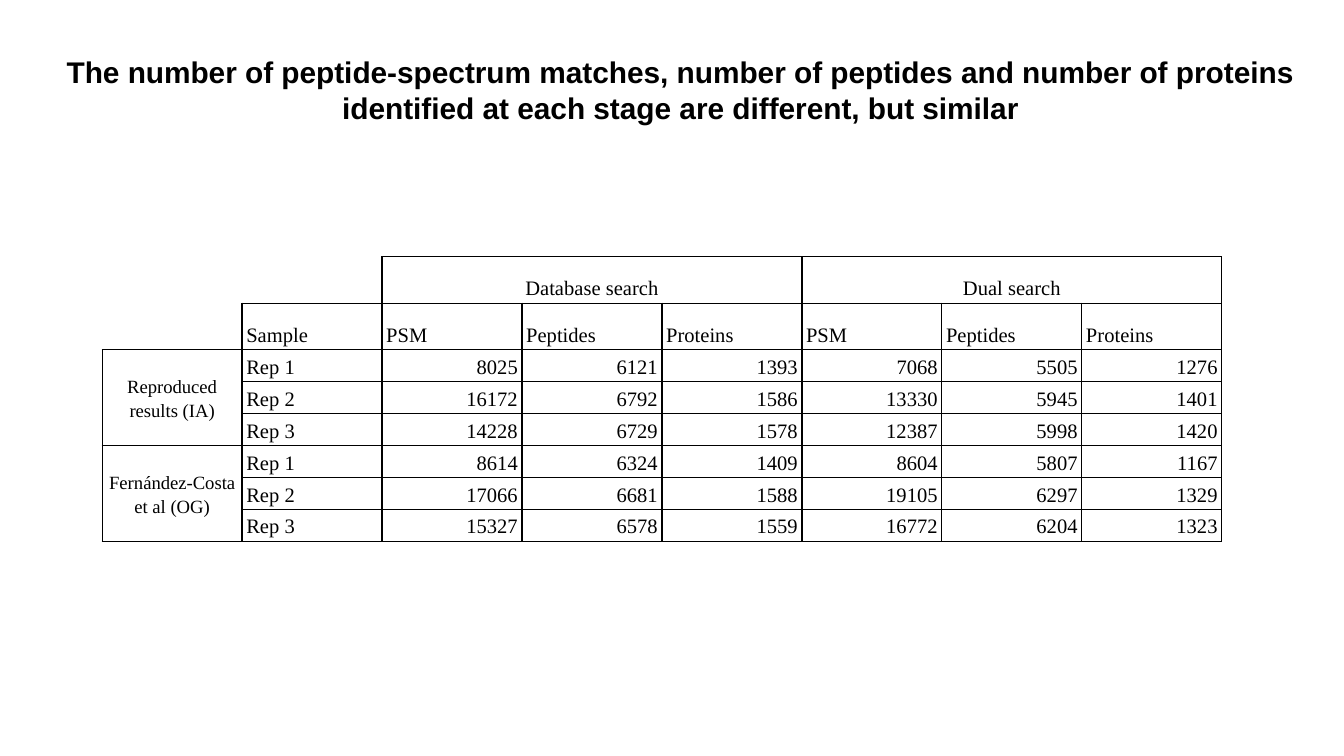
from dataclasses import dataclass

from lxml import etree
from pptx import Presentation
from pptx.dml import color
from pptx.enum import text
from pptx.oxml import ns
from pptx.util import Pt


@dataclass(frozen=True)
class Theme:
    """Colours, fonts and sizes of the slide."""
    ink: color.RGBColor = color.RGBColor(0, 0, 0)
    title_font: str = "Arial"
    table_font: str = "Times New Roman"
    title_size: int = 16
    cell_size: int = 11
    group_size: int = 10
    border: float = 0.75


THEME = Theme()
ALIGN = text.PP_ALIGN
ANCHOR = text.MSO_ANCHOR
NO_STYLE = "{2D5ABB26-0587-4C30-8999-92F81FD0307C}"
TITLE = ("The number of peptide-spectrum matches, number of peptides and number "
         "of proteins identified at each stage are different, but similar")
SEARCHES = ["Database search", "Dual search"]
MEASURES = ["PSM", "Peptides", "Proteins"]
GROUPS = {
    "Reproduced results (IA)": [
        (8025, 6121, 1393, 7068, 5505, 1276),
        (16172, 6792, 1586, 13330, 5945, 1401),
        (14228, 6729, 1578, 12387, 5998, 1420),
    ],
    "Fernández-Costa et al (OG)": [
        (8614, 6324, 1409, 8604, 5807, 1167),
        (17066, 6681, 1588, 19105, 6297, 1329),
        (15327, 6578, 1559, 16772, 6204, 1323),
    ],
}
COLUMN_WIDTH, HEADER_HEIGHT, ROW_HEIGHT = 75, 23.1, 17.1


def add_run(paragraph, content, font, size, bold=False):
    """Add one styled run to a paragraph."""
    run = paragraph.add_run()
    run.text = content
    run.font.name, run.font.size, run.font.bold = font, Pt(size), bold
    run.font.color.rgb = THEME.ink


def add_title(slide):
    """Add the centred heading."""
    shape = slide.shapes.add_textbox(Pt(25.9), Pt(21.6), Pt(677.5), Pt(53.3))
    frame = shape.text_frame
    frame.word_wrap = True
    frame.margin_left = frame.margin_right = Pt(7.2)
    frame.margin_top = frame.margin_bottom = Pt(7.2)
    frame.paragraphs[0].alignment = ALIGN.CENTER
    add_run(frame.paragraphs[0], TITLE, THEME.title_font, THEME.title_size, True)


def format_cell(cell, sides):
    """Set the insets, the given borders and an empty fill."""
    cell.margin_left = cell.margin_right = Pt(2.25)
    cell.margin_top = cell.margin_bottom = Pt(1.5)
    properties = cell._tc.get_or_add_tcPr()
    for side in sides:
        line = etree.SubElement(properties, ns.qn(f"a:ln{side}"), w=str(Pt(THEME.border)))
        fill = etree.SubElement(line, ns.qn("a:solidFill"))
        etree.SubElement(fill, ns.qn("a:srgbClr"), val=str(THEME.ink))
    cell.fill.background()


def write_cell(cell, content, alignment=ALIGN.LEFT, anchor=ANCHOR.BOTTOM, size=THEME.cell_size):
    """Write one line of table text."""
    cell.vertical_anchor = anchor
    paragraph = cell.text_frame.paragraphs[0]
    paragraph.alignment, paragraph.line_spacing = alignment, 1.15
    add_run(paragraph, str(content), THEME.table_font, size)


def add_grid(slide, row_count, column_count):
    """Add an unfilled table whose top left corner stays open."""
    heights = [HEADER_HEIGHT] * 2 + [ROW_HEIGHT] * (row_count - 2)
    shape = slide.shapes.add_table(row_count, column_count, Pt(54.7), Pt(137.5),
                                   Pt(COLUMN_WIDTH * column_count), Pt(sum(heights)))
    table = shape.table
    table.first_row = table.horz_banding = False
    table._tbl.tblPr.find(ns.qn("a:tableStyleId")).text = NO_STYLE
    for column in table.columns:
        column.width = Pt(COLUMN_WIDTH)
    open_sides = {(0, 0): "B", (1, 0): "B", (0, 1): "RB"}
    for r, height in enumerate(heights):
        table.rows[r].height = Pt(height)
        for c in range(column_count):
            format_cell(table.cell(r, c), open_sides.get((r, c), "LRTB"))
    return table


def fill_headers(table):
    """Write the two header rows."""
    table.cell(0, 0).merge(table.cell(1, 0))
    write_cell(table.cell(1, 1), "Sample")
    for i, search in enumerate(SEARCHES):
        first = 2 + i * len(MEASURES)
        table.cell(0, first).merge(table.cell(0, first + len(MEASURES) - 1))
        write_cell(table.cell(0, first), search, ALIGN.CENTER)
        for c, measure in enumerate(MEASURES, first):
            write_cell(table.cell(1, c), measure)


def fill_groups(table):
    """Write each group of replicates with its merged label."""
    top = 2
    for label, replicates in GROUPS.items():
        table.cell(top, 0).merge(table.cell(top + len(replicates) - 1, 0))
        write_cell(table.cell(top, 0), label, ALIGN.CENTER, ANCHOR.MIDDLE, THEME.group_size)
        for i, values in enumerate(replicates):
            write_cell(table.cell(top + i, 1), f"Rep {i + 1}")
            for c, value in enumerate(values, 2):
                write_cell(table.cell(top + i, c), value, ALIGN.RIGHT)
        top += len(replicates)


def main():
    """Build and save the slide."""
    presentation = Presentation()
    presentation.slide_width, presentation.slide_height = Pt(720), Pt(405)
    slide = presentation.slides.add_slide(presentation.slide_layouts[6])
    row_count = 2 + sum(len(replicates) for replicates in GROUPS.values())
    table = add_grid(slide, row_count, 2 + len(SEARCHES) * len(MEASURES))
    fill_headers(table)
    fill_groups(table)
    add_title(slide)
    presentation.save("out.pptx")


if __name__ == "__main__":
    main()
